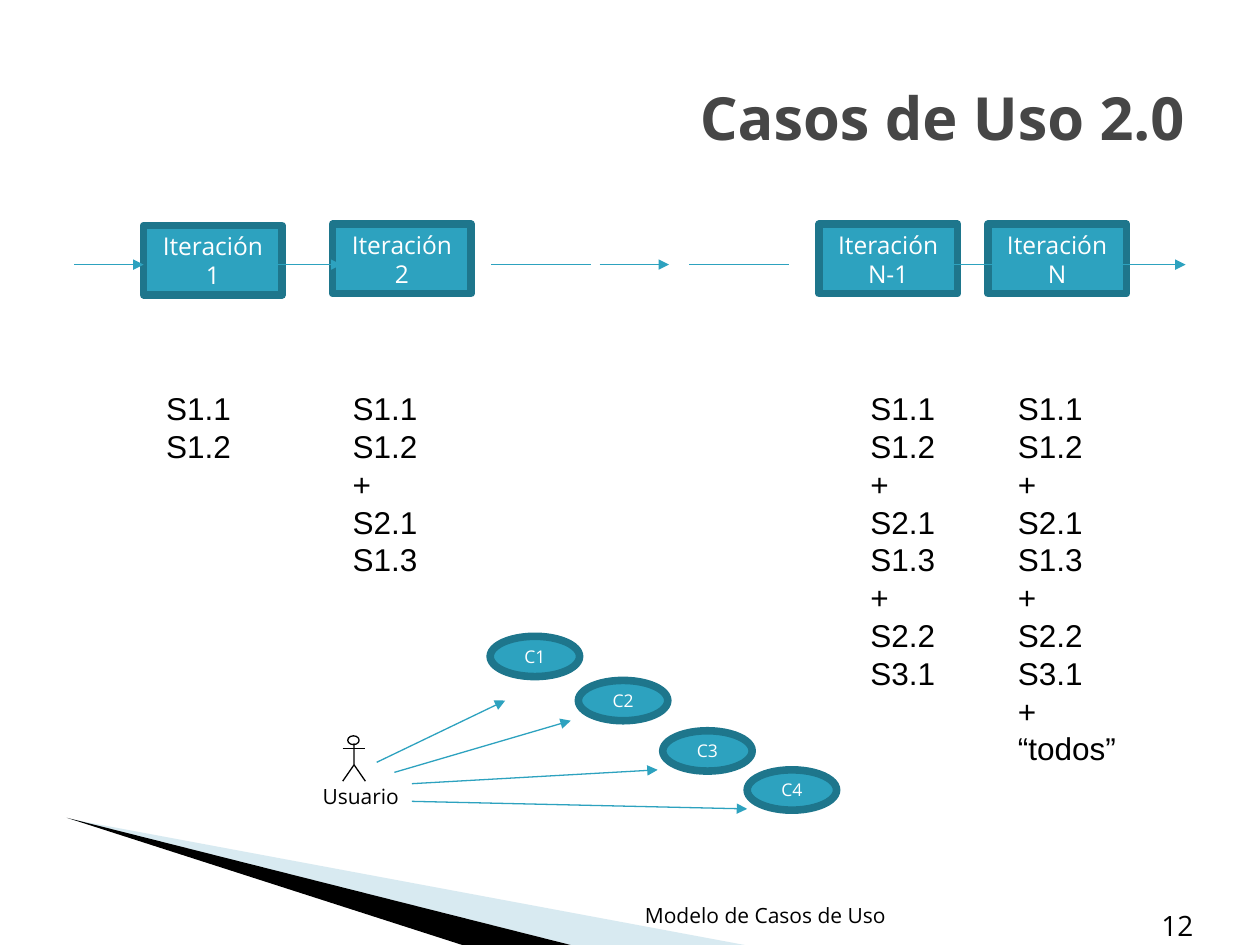
"""Builds the "Casos de Uso 2.0" slide."""
import pptx
import pptx.dml.color
import pptx.enum.shapes
import pptx.enum.text
import pptx.oxml
import pptx.oxml.ns
import pptx.util

Inches = pptx.util.Inches
Pt = pptx.util.Pt
MSO = pptx.enum.shapes.MSO_SHAPE
ALIGN = pptx.enum.text.PP_ALIGN
ANCHOR = pptx.enum.text.MSO_ANCHOR


def paint(color_format, value):
    color_format.rgb = pptx.dml.color.RGBColor.from_string(value)


def add_xml(parent, tag, **attrs):
    el = pptx.oxml.parse_xml(f"<a:{tag} {pptx.oxml.ns.nsdecls('a')}/>")
    for name, value in attrs.items():
        el.set(name, value)
    parent.append(el)


def write(tf, text, size=18, font="Open Sans", color="000000", bold=False,
          align=ALIGN.LEFT, anchor=ANCHOR.TOP, wrap=True, inset=True):
    tf.word_wrap = wrap
    tf.vertical_anchor = anchor
    tf.margin_left = tf.margin_right = Inches(0.1 if inset else 0)
    tf.margin_top = tf.margin_bottom = Inches(0.05 if inset else 0)
    for i, paragraph in enumerate(text.split("\n")):
        p = tf.add_paragraph() if i else tf.paragraphs[0]
        p.alignment = align
        for j, line in enumerate(paragraph.split("\v")):
            if j:
                p.add_line_break()
            r = p.add_run()
            r.text = line
            r.font.size = Pt(size)
            r.font.name = font
            r.font.bold = bold
            paint(r.font.color, color)


class Slide:
    accent = "2DA2BF"
    border = "1E768C"
    thin = 0.75
    thick = 4.33

    def __init__(self, prs):
        self.s = prs.slides.add_slide(prs.slide_layouts[6])
        self.shapes = self.s.shapes

    def style(self, sp, fill=None, line=None, width=thin):
        sp.shadow.inherit = False
        if fill:
            sp.fill.solid()
            paint(sp.fill.fore_color, fill)
        else:
            sp.fill.background()
        if line:
            paint(sp.line.color, line)
            sp.line.width = Pt(width)
        else:
            sp.line.fill.background()

    def text(self, x, y, w, h, text, **fmt):
        sp = self.shapes.add_textbox(Inches(x), Inches(y), Inches(w), Inches(h))
        write(sp.text_frame, text, **fmt)

    def node(self, kind, x, y, w, h, text, size):
        sp = self.shapes.add_shape(kind, Inches(x), Inches(y), Inches(w), Inches(h))
        self.style(sp, self.accent, self.border, self.thick)
        write(sp.text_frame, text, size=size, color="FFFFFF",
              align=ALIGN.CENTER, anchor=ANCHOR.MIDDLE)

    def line(self, x1, y1, x2, y2, color=accent, arrow=False):
        sp = self.shapes.add_connector(
            pptx.enum.shapes.MSO_CONNECTOR.STRAIGHT,
            Inches(x1), Inches(y1), Inches(x2), Inches(y2))
        paint(sp.line.color, color)
        sp.line.width = Pt(self.thin)
        if arrow:
            add_xml(sp.line._get_or_add_ln(), "tailEnd", type="triangle")
        add_xml(sp._element.spPr, "effectLst")

    def outline(self, points, close=True, **look):
        start, *rest = [(Inches(x), Inches(y)) for x, y in points]
        builder = self.shapes.build_freeform(*start)
        builder.add_line_segments(rest, close=close)
        sp = builder.convert_to_shape()
        self.style(sp, **look)
        return sp

    def actor(self, label):
        self.shapes = self.s.shapes.add_group_shape().shapes
        head = self.shapes.add_shape(MSO.OVAL, Inches(2.76), Inches(5.84),
                                     Inches(0.09), Inches(0.07))
        self.style(head, "FFFFFF", "000000")
        self.line(2.72, 5.94, 2.9, 5.94, "000000")
        self.line(2.81, 6.07, 2.9, 6.2, "000000")
        self.outline([(2.81, 5.9), (2.81, 6.07), (2.72, 6.2)],
                     close=False, line="000000")
        self.text(2.56, 6.22, 0.62, 0.2, label, size=12, wrap=False, inset=False)
        self.shapes = self.s.shapes


def main():
    prs = pptx.Presentation()
    prs.slide_width, prs.slide_height = Inches(10), Inches(7.5)
    s = Slide(prs)

    wedge = s.outline([(0.55, 6.5), (5.91, 7.5), (4.53, 7.5)], fill="9FCBDC")
    add_xml(wedge.fill._xPr.solidFill[0], "alpha", val="40000")
    s.outline([(0.53, 6.49), (4.53, 7.5), (3.67, 7.5)], fill="000000")

    s.text(7, 7.13, 2.57, 0.4, "12", size=16, align=ALIGN.RIGHT, anchor=ANCHOR.BOTTOM)
    s.text(0.5, 0.3, 9, 1.25, "Casos de Uso 2.0", size=34, color="464646",
           bold=True, align=ALIGN.RIGHT, anchor=ANCHOR.MIDDLE)
    s.text(4.79, 7.01, 2.57, 0.4, "Modelo de Casos de Uso", size=12,
           align=ALIGN.CENTER, anchor=ANCHOR.BOTTOM)

    for x, y, name in [(1.14, 1.79, "1"), (2.64, 1.78, "2"),
                       (6.5, 1.78, "N-1"), (7.84, 1.78, "N")]:
        s.node(MSO.RECTANGLE, x, y, 1.1, 0.55, f"Iteración\v{name}", 14)
    for x in (0.59, 2.16, 4.76, 7.44, 8.86):
        s.line(x, 2.1, x + 0.55, 2.1, arrow=True)
    for x in (3.9, 5.47):
        s.line(x, 2.1, x + 0.79, 2.1)

    cases = [(3.89, 5.05), (4.59, 5.4), (5.26, 5.8), (5.93, 6.11)]
    for i, (x, y) in enumerate(cases, 1):
        s.node(MSO.OVAL, x, y, 0.71, 0.32, f"C{i}", 10)
    s.actor("Usuario")
    for ends in [(2.99, 6.05, 4.01, 5.56), (3.13, 6.13, 4.53, 5.72),
                 (3.27, 6.22, 5.22, 6.11), (3.27, 6.36, 5.93, 6.42)]:
        s.line(*ends, arrow=True)

    slices = ["S1.1", "S1.2", "+", "S2.1", "S1.3", "+", "S2.2", "S3.1", "+", "“todos”"]
    for x, w, count in [(1.22, 0.72, 2), (2.7, 0.72, 5), (6.81, 0.72, 8), (7.98, 0.99, 10)]:
        s.text(x, 3.04, w, 0.1 + 0.3 * count, "\n".join(slices[:count]),
               font="Arial", wrap=False)

    prs.save("out.pptx")


if __name__ == "__main__":
    main()
